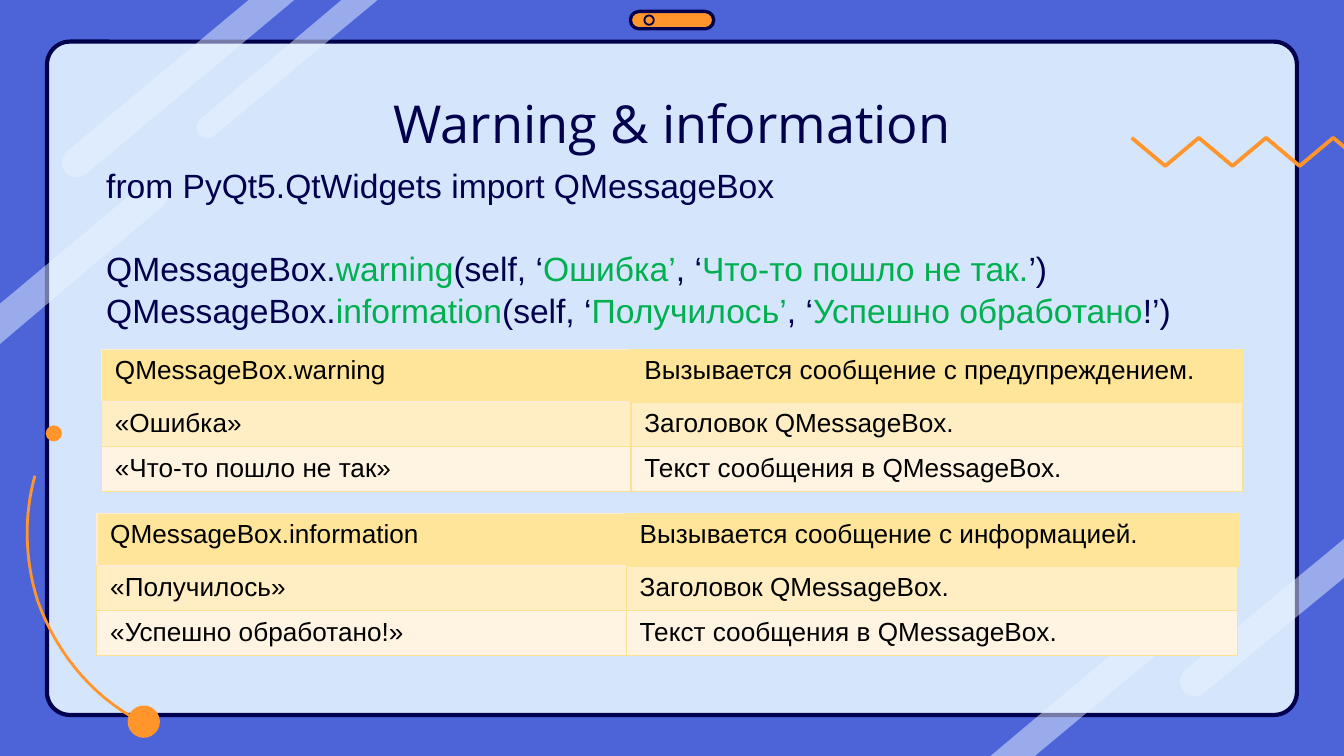
from math import cos, radians, sin

from lxml.etree import SubElement
from pptx import Presentation
from pptx.dml.color import RGBColor
from pptx.enum.shapes import MSO_SHAPE as Preset
from pptx.enum.text import MSO_ANCHOR as Anchor, PP_ALIGN as Align
from pptx.oxml.ns import qn
from pptx.util import Inches, Pt

# Every length is counted in grid cells: 100 columns by 56.25 rows.
CELL = Inches(0.1)
COLUMNS, ROWS = 100, 56.25

COLOURS = {
    "background": "4C64D8", "panel": "D5E6FC", "navy": "00004D",
    "stripe": "E9F3FF", "orange": "FF952B", "green": "00B050",
    "black": "000000", "header": "FFE599", "band": "FFEEC4",
    "plain": "FFF4E1", "header_edge": "FFEAD5", "edge": "FCE193",
}

# Round end centre, radius, angle where the round end starts, cut-off corners
STRIPES = [
    ((5.7, 12.1), 1.1, 50, [(18.5, 0), (21.9, 0)]),
    ((15.4, 9.5), 0.8, 50, [(25.4, 0), (28.1, 0)]),
    ((90.6, 43.5), 1.1, 230, [(77, ROWS), (73.7, ROWS)]),
    ((88.9, 50.7), 1.1, 50, [(COLUMNS, 40.1), (COLUMNS, 43)]),
    ((11.4, 14.5), 1.1, 230, [(0, 25.6), (0, 22.6)]),
]

# Pieces of each line; every second piece is green
CODE_LINES = [
    ["from PyQt5.QtWidgets import QMessageBox"],
    ["QMessageBox.", "warning", "(self, ‘", "Ошибка’", ", ‘",
     "Что-то пошло не так.", "’)"],
    ["QMessageBox.", "information", "(self, ‘", "Получилось’", ", ‘",
     "Успешно обработано", "!’)"],
]


def grid(*counts):
    return [round(count * CELL) for count in counts]


def rgb(name):
    return RGBColor.from_string(COLOURS[name])


def paint(shape, fill=None, line=None, width=1, alpha=None):
    """Set fill, outline and fill opacity (in percent), without shadow."""
    shape.shadow.inherit = False
    if fill:
        shape.fill.solid()
        shape.fill.fore_color.rgb = rgb(fill)
        if alpha:
            colour = shape.element.spPr.find(qn("a:solidFill"))[0]
            SubElement(colour, qn("a:alpha")).set("val", str(alpha * 1000))
    else:
        shape.fill.background()
    if line:
        shape.line.color.rgb = rgb(line)
        shape.line.width = Pt(width)
    else:
        shape.line.fill.background()


def add_preset(slide, preset, box, corner=None, **style):
    shape = slide.shapes.add_shape(preset, *grid(*box))
    if corner is not None:
        shape.adjustments[0] = corner
    paint(shape, **style)


def add_circle(slide, centre, radius, **style):
    box = (centre[0] - radius, centre[1] - radius, 2 * radius, 2 * radius)
    add_preset(slide, Preset.OVAL, box, **style)


def add_path(slide, points, close=False, **style):
    start, *others = [grid(*point) for point in points]
    builder = slide.shapes.build_freeform(*start)
    builder.add_line_segments(others, close=close)
    paint(builder.convert_to_shape(), **style)


def add_stripe(slide, centre, radius, start, corners):
    angles = [radians(start + step) for step in range(0, 181, 12)]
    end = [(centre[0] + radius * cos(a), centre[1] + radius * sin(a))
           for a in angles]
    add_path(slide, end + corners, close=True, fill="stripe", alpha=50)


def curve(start, control_1, control_2, end, steps=16):
    """Points along a cubic Bezier curve."""
    weights = [((1 - t) ** 3, 3 * t * (1 - t) ** 2, 3 * t * t * (1 - t), t ** 3)
               for t in (step / steps for step in range(steps + 1))]
    ends = (start, control_1, control_2, end)
    return [tuple(sum(w * p[axis] for w, p in zip(weight, ends))
                  for axis in (0, 1)) for weight in weights]


def format_run(run, size, colour, font="Arial"):
    run.font.size = Pt(size)
    run.font.name = font
    run.font.color.rgb = rgb(colour)


def add_text_frame(slide, box, margin):
    frame = slide.shapes.add_textbox(*grid(*box)).text_frame
    frame.word_wrap = True
    frame.vertical_anchor = Anchor.TOP
    frame.margin_left = frame.margin_right = margin
    frame.margin_top = frame.margin_bottom = margin
    return frame


def add_title(slide, text):
    frame = add_text_frame(slide, (7.9, 5.8, 84.2, 6.3), CELL)
    frame.text = text
    paragraph = frame.paragraphs[0]
    paragraph.alignment = Align.CENTER
    format_run(paragraph.runs[0], 28, "navy", "Open Sans")


def add_code(slide, lines):
    frame = add_text_frame(slide, (7.9, 12.1, 85.5, 13.9), 0)
    for index, pieces in enumerate(lines):
        paragraph = frame.add_paragraph() if index else frame.paragraphs[0]
        paragraph.line_spacing = 1.05
        if index == 1:
            paragraph.space_before = Pt(21.7)
        for position, piece in enumerate(pieces):
            run = paragraph.add_run()
            run.text = piece
            format_run(run, 18, "green" if position % 2 else "navy")


def set_borders(cell, colour, width):
    properties = cell._tc.get_or_add_tcPr()
    for index, side in enumerate("LRTB"):
        line = SubElement(properties, qn(f"a:ln{side}"), w=str(Pt(width)))
        fill = SubElement(line, qn("a:solidFill"))
        SubElement(fill, qn("a:srgbClr"), val=COLOURS[colour])
        properties.insert(index, line)  # borders come before the fill


def add_method_table(slide, left, top, rows):
    widths, heights = (39.4, 45.5), (3.9, 3.2, 3.2)
    table = slide.shapes.add_table(
        len(rows), len(widths),
        *grid(left, top, sum(widths), sum(heights))).table
    table.first_row = table.horz_banding = False
    for column, width in zip(table.columns, grid(*widths)):
        column.width = width
    fills = ("header", "band", "plain")
    for r, (texts, height) in enumerate(zip(rows, grid(*heights))):
        table.rows[r].height = height
        for c, text in enumerate(texts):
            cell = table.cell(r, c)
            cell.text = text
            format_run(cell.text_frame.paragraphs[0].runs[0], 14, "black")
            cell.fill.solid()
            cell.fill.fore_color.rgb = rgb(fills[r])
            if r == 0:
                set_borders(cell, "header" if c else "header_edge", 1)
            else:
                set_borders(cell, "edge", 0.75)


def add_decoration(slide):
    add_preset(slide, Preset.ROUNDED_RECTANGLE, (3.5, 3.1, 93, 50.1), 0.034,
               fill="panel", line="navy", width=2.25)
    for stripe in STRIPES:
        add_stripe(slide, *stripe)
    add_preset(slide, Preset.ROUNDED_RECTANGLE, (46.9, 0.85, 6.2, 1.3), 0.5,
               fill="orange", line="navy", width=1.75)
    add_circle(slide, (48.3, 1.5), 0.35, line="navy", width=1)
    add_circle(slide, (10.7, 53.7), 1.2, fill="orange")
    arc = (curve((2.6, 35.4), (1.8, 38.3), (1.8, 41.5), (2.8, 44.7))
           + curve((2.8, 44.7), (4.3, 48.9), (7.3, 52.3), (11.1, 54))[1:])
    add_path(slide, arc, line="orange", width=1.5)
    add_circle(slide, (4, 32.25), 0.6, fill="orange")
    zigzag = [(84.2 + 2.5 * i, 12.35 if i % 2 else 10.25) for i in range(8)]
    add_path(slide, zigzag, line="orange", width=2)


def main():
    presentation = Presentation()
    presentation.slide_width, presentation.slide_height = grid(COLUMNS, ROWS)
    slide = presentation.slides.add_slide(presentation.slide_layouts[6])
    slide.background.fill.solid()
    slide.background.fill.fore_color.rgb = rgb("background")
    add_decoration(slide)
    add_title(slide, "Warning & information")
    add_code(slide, CODE_LINES)
    notes = ("Заголовок QMessageBox.", "Текст сообщения в QMessageBox.")
    add_method_table(slide, 7.55, 26, [
        ("QMessageBox.warning", "Вызывается сообщение с предупреждением."),
        *zip(("«Ошибка»", "«Что-то пошло не так»"), notes)])
    add_method_table(slide, 7.2, 38.2, [
        ("QMessageBox.information", "Вызывается сообщение с информацией."),
        *zip(("«Получилось»", "«Успешно обработано!»"), notes)])
    presentation.save("out.pptx")


if __name__ == "__main__":
    main()
